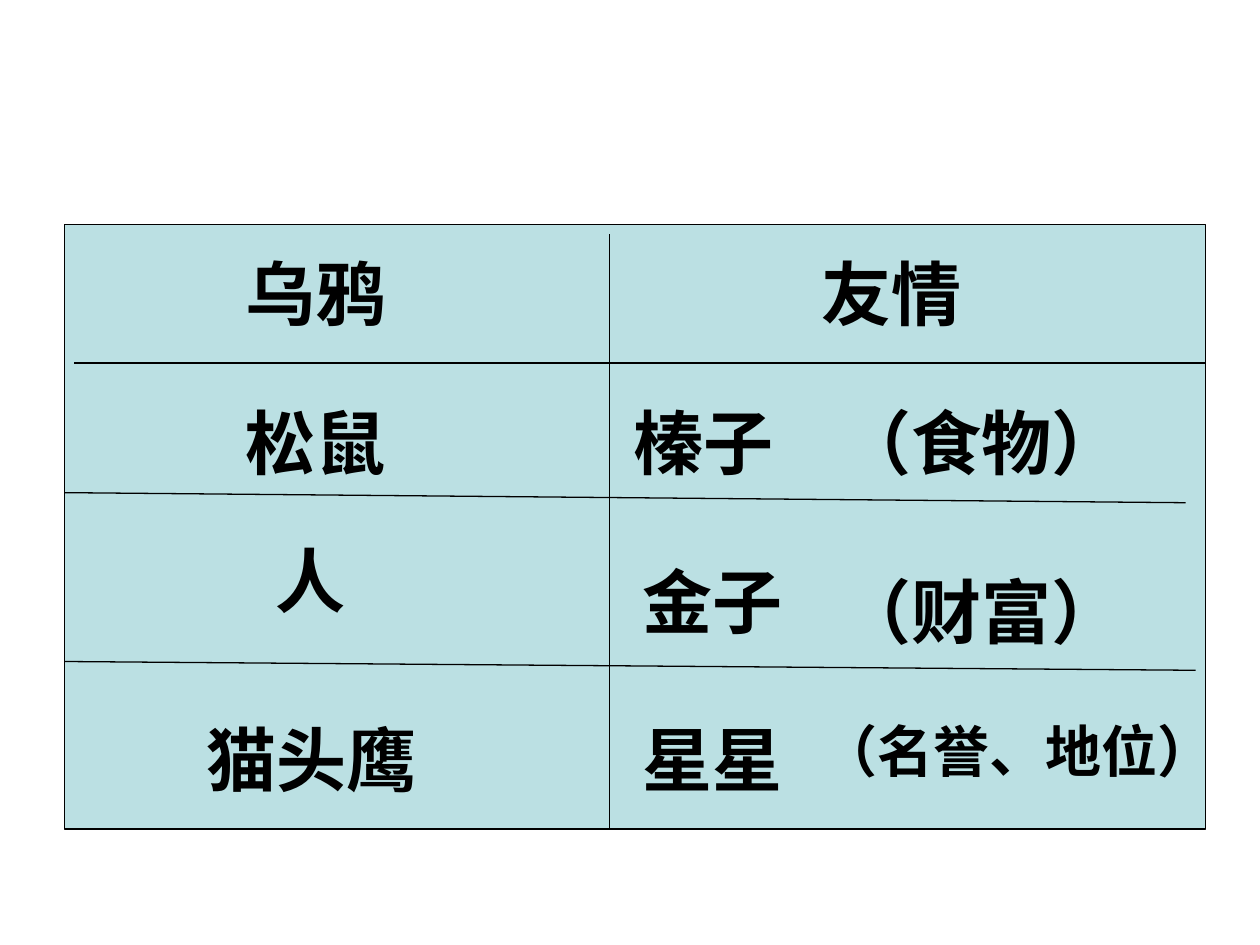
"""Build a slide comparing each character with what it treasures."""
import dataclasses

import lxml.etree
import pptx
import pptx.dml.color
import pptx.enum.shapes
import pptx.enum.text
import pptx.oxml.ns
import pptx.util

Inches = pptx.util.Inches
Pt = pptx.util.Pt


@dataclasses.dataclass(frozen=True)
class Theme:
    font: str = "Arial"
    ink: pptx.dml.color.RGBColor = pptx.dml.color.RGBColor(0, 0, 0)
    panel: pptx.dml.color.RGBColor = pptx.dml.color.RGBColor(0xBB, 0xE0, 0xE3)
    line_width: float = 0.75
    text_size: int = 40
    small_size: int = 32


class Painter:
    def __init__(self, slide, theme):
        self.s = slide
        self.theme = theme

    def stroke(self, line):
        line.color.rgb = self.theme.ink
        line.width = Pt(self.theme.line_width)

    def panel(self, x, y, w, h):
        sp = self.s.shapes.add_shape(
            pptx.enum.shapes.MSO_SHAPE.RECTANGLE,
            Inches(x), Inches(y), Inches(w), Inches(h))
        sp.shadow.inherit = False
        sp.fill.solid()
        sp.fill.fore_color.rgb = self.theme.panel
        self.stroke(sp.line)

    def rule(self, x1, y1, x2, y2):
        sp = self.s.shapes.add_connector(
            pptx.enum.shapes.MSO_CONNECTOR.STRAIGHT,
            Inches(x1), Inches(y1), Inches(x2), Inches(y2))
        self.stroke(sp.line)
        lxml.etree.SubElement(
            sp._element.spPr, pptx.oxml.ns.qn("a:effectLst"))

    def label(self, text, x, y, size=None, width=None):
        size = size or self.theme.text_size
        w = width or 0.2 + len(text) * size / 72
        h = 0.1 + size * 1.2 / 72
        sp = self.s.shapes.add_textbox(
            Inches(x), Inches(y), Inches(w), Inches(h))
        tf = sp.text_frame
        tf.word_wrap = width is not None
        tf.auto_size = pptx.enum.text.MSO_AUTO_SIZE.SHAPE_TO_FIT_TEXT
        p = tf.paragraphs[0]
        p.text = text
        p.font.name = self.theme.font
        p.font.size = Pt(size)
        p.font.bold = True
        p.font.color.rgb = self.theme.ink


def main():
    prs = pptx.Presentation()
    prs.slide_width, prs.slide_height = Inches(10), Inches(7.5)
    theme = Theme()
    painter = Painter(prs.slides.add_slide(prs.slide_layouts[6]), theme)

    painter.panel(0.51, 1.78, 9.06, 4.8)
    for ends in (
        (0.59, 2.88, 9.57, 2.88),
        (0.51, 3.91, 9.41, 3.99),
        (0.51, 5.25, 9.49, 5.32),
        (4.84, 1.86, 4.84, 6.59),
    ):
        painter.rule(*ends)

    for text, x, y in (
        ("乌鸦", 1.85, 1.94),
        ("友情", 6.42, 1.94),
        ("松鼠", 1.85, 3.12),
        ("榛子", 4.93, 3.12),
        ("（食物）", 6.58, 3.12),
        ("人", 2.09, 4.22),
        ("金子", 5, 4.38),
        ("（财富）", 6.58, 4.46),
        ("猫头鹰", 1.54, 5.64),
        ("星星", 5, 5.64),
    ):
        painter.label(text, x, y)
    painter.label("（名誉、地位）", 6.42, 5.64, theme.small_size, 4.41)

    prs.save("out.pptx")


if __name__ == "__main__":
    main()
